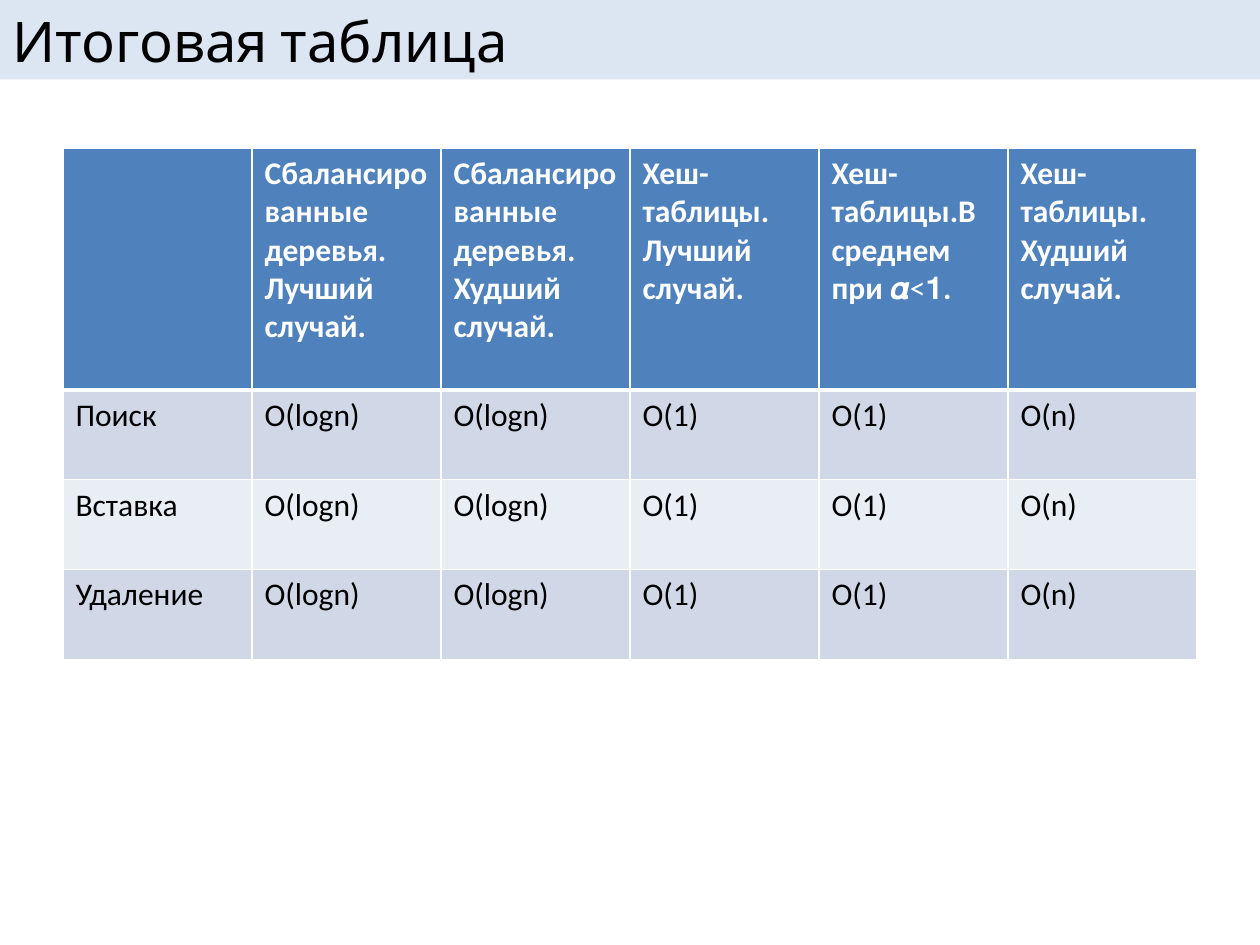
from lxml import etree
from pptx import Presentation
from pptx.dml.color import RGBColor
from pptx.enum import shapes, text
from pptx.oxml import ns
from pptx.util import Cm, Pt

TITLE = "Итоговая таблица"
TREES, HASHES = "Сбалансированные деревья.", "Хеш-таблицы."
BEST, WORST = "Лучший случай.", "Худший случай."

# A cell is a list of paragraphs, a paragraph a list of (text, bold) runs.
HEADER = [
    [],
    [[(TREES, True)], [(BEST, True)]],
    [[(TREES, True)], [(WORST, True)]],
    [[(HASHES, True)], [(BEST, True)]],
    [[(HASHES + "В среднем при ", True), ("𝜶<𝟏", False), (".", True)]],
    [[(HASHES, True)], [(WORST, True)]],
]
OPERATIONS = ["Поиск", "Вставка", "Удаление"]
COSTS = ["O(logn)", "O(logn)", "O(1)", "O(1)", "O(n)"]
BODY = [[[[(value, False)]] for value in [name] + COSTS] for name in OPERATIONS]

HEADER_FILL, BANDS = "4F81BD", ("D0D8E8", "E9EDF4")
COL_W, HEADER_H, ROW_H = 3.81, 4.88, 1.81


def rgb(value):
    return RGBColor.from_string(value)


def add_run(p, content, font, size, color, bold=False):
    r = p.add_run()
    r.text = content
    r.font.name, r.font.size, r.font.bold = font, Pt(size), bold
    r.font.color.rgb = rgb(color)


def set_borders(cell, widths, color="FFFFFF"):
    """Widths are points for left, right, top and bottom."""
    tc_pr = cell._tc.get_or_add_tcPr()
    for side, width in zip("LRTB", widths):
        ln = etree.SubElement(tc_pr, ns.qn("a:ln" + side), w=str(Pt(width)))
        fill = etree.SubElement(ln, ns.qn("a:solidFill"))
        etree.SubElement(fill, ns.qn("a:srgbClr"), val=color)


def fill_cell(cell, paragraphs, fill, color, widths):
    set_borders(cell, widths)
    cell.fill.solid()
    cell.fill.fore_color.rgb = rgb(fill)
    tf = cell.text_frame
    for i, runs in enumerate(paragraphs):
        p = tf.add_paragraph() if i else tf.paragraphs[0]
        for content, bold in runs:
            add_run(p, content, "Calibri", 18, color, bold)


def add_title(s):
    sp = s.shapes.add_shape(shapes.MSO_SHAPE.RECTANGLE, 0, 0, Cm(25.4), Cm(1.6))
    sp.shadow.inherit = False
    sp.fill.solid()
    sp.fill.fore_color.rgb = rgb("DCE6F2")
    sp.line.fill.background()
    tf = sp.text_frame
    tf.word_wrap = True
    tf.vertical_anchor = text.MSO_ANCHOR.MIDDLE
    p = tf.paragraphs[0]
    p.alignment = text.PP_ALIGN.LEFT
    add_run(p, TITLE, "Cabin", 32, "000000")


def add_summary(s):
    rows = [HEADER] + BODY
    height = HEADER_H + ROW_H * len(BODY)
    table = s.shapes.add_table(len(rows), len(HEADER), Cm(1.27), Cm(2.98),
                               Cm(COL_W * len(HEADER)), Cm(height)).table
    for column in table.columns:
        column.width = Cm(COL_W)
    for i, row in enumerate(rows):
        table.rows[i].height = Cm(ROW_H if i else HEADER_H)
        fill = BANDS[(i - 1) % 2] if i else HEADER_FILL
        color = "000000" if i else "FFFFFF"
        widths = (1, 1, 3 if i == 1 else 1, 1 if i else 3)
        for j, paragraphs in enumerate(row):
            fill_cell(table.cell(i, j), paragraphs, fill, color, widths)


def main():
    prs = Presentation()
    prs.slide_width, prs.slide_height = Cm(25.4), Cm(19.05)
    s = prs.slides.add_slide(prs.slide_layouts[6])
    add_title(s)
    add_summary(s)
    prs.save("out.pptx")


if __name__ == "__main__":
    main()
